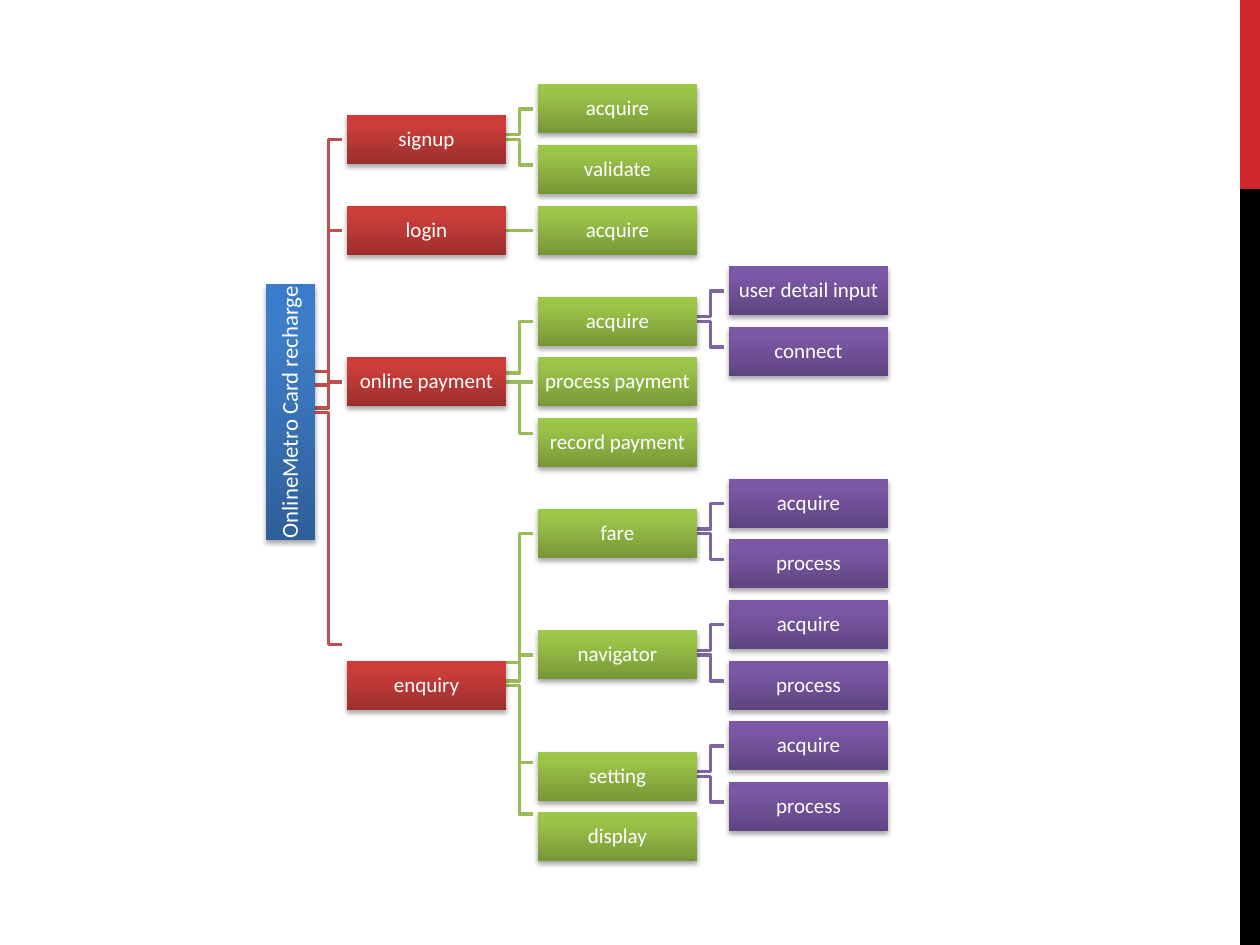
from pptx import Presentation
from pptx import util as u
from pptx.dml.color import RGBColor
from pptx.enum import shapes, text
from pptx.oxml import parse_xml
from pptx.oxml.ns import nsdecls

TREE = ("OnlineMetro Card recharge", [
    ("signup", [("acquire", 0), ("validate", 1)]),
    ("login", [("acquire", 2)]),
    ("online payment", [
        ("acquire", [("user detail input", 3), ("connect", 4)]),
        ("process payment", 4.5),
        ("record payment", 5.5),
    ]),
    ("enquiry", [
        ("fare", [("acquire", 6.5), ("process", 7.5)]),
        ("navigator", [("acquire", 8.5), ("process", 9.5)]),
        ("setting", [("acquire", 10.5), ("process", 11.5)]),
        ("display", 12),
    ]),
])

WHITE = RGBColor(0xFF, 0xFF, 0xFF)
BLACK = RGBColor(0x00, 0x00, 0x00)
RED = RGBColor(0xD1, 0x28, 0x2E)
LINK_COLORS = [
    RGBColor(0xC0, 0x50, 0x4D),
    RGBColor(0x9B, 0xBB, 0x59),
    RGBColor(0x80, 0x64, 0xA2),
]
GRADIENTS = [
    [RGBColor(0x2F, 0x5F, 0x99), RGBColor(0x3D, 0x7C, 0xC7), RGBColor(0x3A, 0x7C, 0xCB)],
    [RGBColor(0x9C, 0x2F, 0x2D), RGBColor(0xCB, 0x3E, 0x3A), RGBColor(0xCE, 0x3B, 0x37)],
    [RGBColor(0x77, 0x97, 0x37), RGBColor(0x9B, 0xC3, 0x48), RGBColor(0x9D, 0xC7, 0x46)],
    [RGBColor(0x5F, 0x44, 0x80), RGBColor(0x7B, 0x58, 0xA6), RGBColor(0x7C, 0x57, 0xA8)],
]
STOPS = (0, 80000, 100000)
BARS = [(0, 189, RED), (189, 756, BLACK)]

SLIDE_WIDTH, SLIDE_HEIGHT = 1260, 945
BAR_LEFT, BAR_WIDTH = 1240, 20
BOX_WIDTH, BOX_HEIGHT = 159, 49
ROOT_LENGTH = 256
ROOT_RIGHT, COLUMN_LEFT, COLUMN_PITCH = 315, 347, 191
FIRST_ROW, ROWS_HEIGHT, LAST_ROW = 109, 728, 12
GAP = 32
REACH = 0.85

FRAME_FORMAT = {
    "word_wrap": True,
    "vertical_anchor": text.MSO_ANCHOR.MIDDLE,
    "margin_left": u.Emu(7257),
    "margin_right": u.Emu(7257),
    "margin_top": u.Emu(7257),
    "margin_bottom": u.Emu(7257),
}
PARAGRAPH_FORMAT = {"alignment": text.PP_ALIGN.CENTER, "line_spacing": 0.9}


def px(value):
    return u.Emu(round(value * u.Inches(10) / SLIDE_WIDTH))


def apply(target, values):
    for name, value in values.items():
        setattr(target, name, value)


def row_of(node):
    content = node[1]
    if isinstance(content, list):
        return (row_of(content[0]) + row_of(content[-1])) / 2
    return content


def center_of(node):
    return FIRST_ROW + row_of(node) * ROWS_HEIGHT / LAST_ROW


def add_rectangle(slide, left, top, width, height):
    shape = slide.shapes.add_shape(
        shapes.MSO_SHAPE.RECTANGLE, px(left), px(top), px(width), px(height))
    shape.shadow.inherit = False
    shape.line.fill.background()
    return shape


def add_gradient_and_shadow(shape, colors):
    stops = "".join(
        f'<a:gs pos="{position}"><a:srgbClr val="{color}"/></a:gs>'
        for position, color in zip(STOPS, colors))
    properties = shape._element.spPr
    properties.insert(2, parse_xml(
        f'<a:gradFill {nsdecls("a")} rotWithShape="0"><a:gsLst>{stops}</a:gsLst>'
        '<a:lin ang="16200000" scaled="0"/></a:gradFill>'))
    properties.find("{*}effectLst").append(parse_xml(
        f'<a:outerShdw {nsdecls("a")} blurRad="{u.Pt(3.1)}" dist="{u.Pt(1.8)}" '
        'dir="5400000" rotWithShape="0"><a:srgbClr val="000000">'
        '<a:alpha val="35000"/></a:srgbClr></a:outerShdw>'))


def add_box(slide, node, depth):
    width = BOX_WIDTH if depth else ROOT_LENGTH
    if depth:
        left = COLUMN_LEFT + (depth - 1) * COLUMN_PITCH
    else:
        left = ROOT_RIGHT - (BOX_HEIGHT + ROOT_LENGTH) / 2
    shape = add_rectangle(slide, left, center_of(node) - BOX_HEIGHT / 2, width, BOX_HEIGHT)
    shape.rotation = 0 if depth else 270
    add_gradient_and_shadow(shape, GRADIENTS[depth])
    apply(shape.text_frame, FRAME_FORMAT)
    paragraph = shape.text_frame.paragraphs[0]
    apply(paragraph, PARAGRAPH_FORMAT)
    run = paragraph.add_run()
    run.text = node[0]
    apply(run.font, {"name": "Calibri", "size": u.Pt(12 if depth else 13)})
    run.font.color.rgb = WHITE
    return shape


def add_link(slide, parent_box, parent, child, depth):
    left = ROOT_RIGHT if depth == 0 else COLUMN_LEFT + (depth - 1) * COLUMN_PITCH + BOX_WIDTH
    start, end = center_of(parent), center_of(child)
    right = left + GAP * REACH
    if start == end:
        link = slide.shapes.add_connector(
            shapes.MSO_CONNECTOR.STRAIGHT, px(left), px(start), px(right), px(end))
        link.begin_connect(parent_box, 3)
        link._element.spPr.append(parse_xml(f'<a:effectLst {nsdecls("a")}/>'))
    else:
        top = min(start, end)
        start, end = (top + REACH * (y - top) for y in (start, end))
        middle = (left + right) / 2
        builder = slide.shapes.build_freeform(px(left), px(start))
        builder.add_line_segments(
            [(px(x), px(y)) for x, y in ((middle, start), (middle, end), (right, end))],
            close=False)
        link = builder.convert_to_shape()
        link.shadow.inherit = False
        link.fill.background()
    link.line.color.rgb = LINK_COLORS[depth]
    link.line.width = u.Pt(2)
    return link


def add_branch(slide, node, depth=0):
    box = add_box(slide, node, depth)
    links = []
    if isinstance(node[1], list):
        for child in node[1]:
            links.append(add_link(slide, box, node, child, depth))
            links += add_branch(slide, child, depth + 1)
    return links


def main():
    presentation = Presentation()
    presentation.slide_width = px(SLIDE_WIDTH)
    presentation.slide_height = px(SLIDE_HEIGHT)
    slide = presentation.slides.add_slide(presentation.slide_layouts[6])
    links = add_branch(slide, TREE)
    for link in links:
        slide.shapes._spTree.insert(2, link._element)
    for top, height, color in BARS:
        bar = add_rectangle(slide, BAR_LEFT, top, BAR_WIDTH, height)
        bar.fill.solid()
        bar.fill.fore_color.rgb = color
    presentation.save("out.pptx")


if __name__ == "__main__":
    main()
